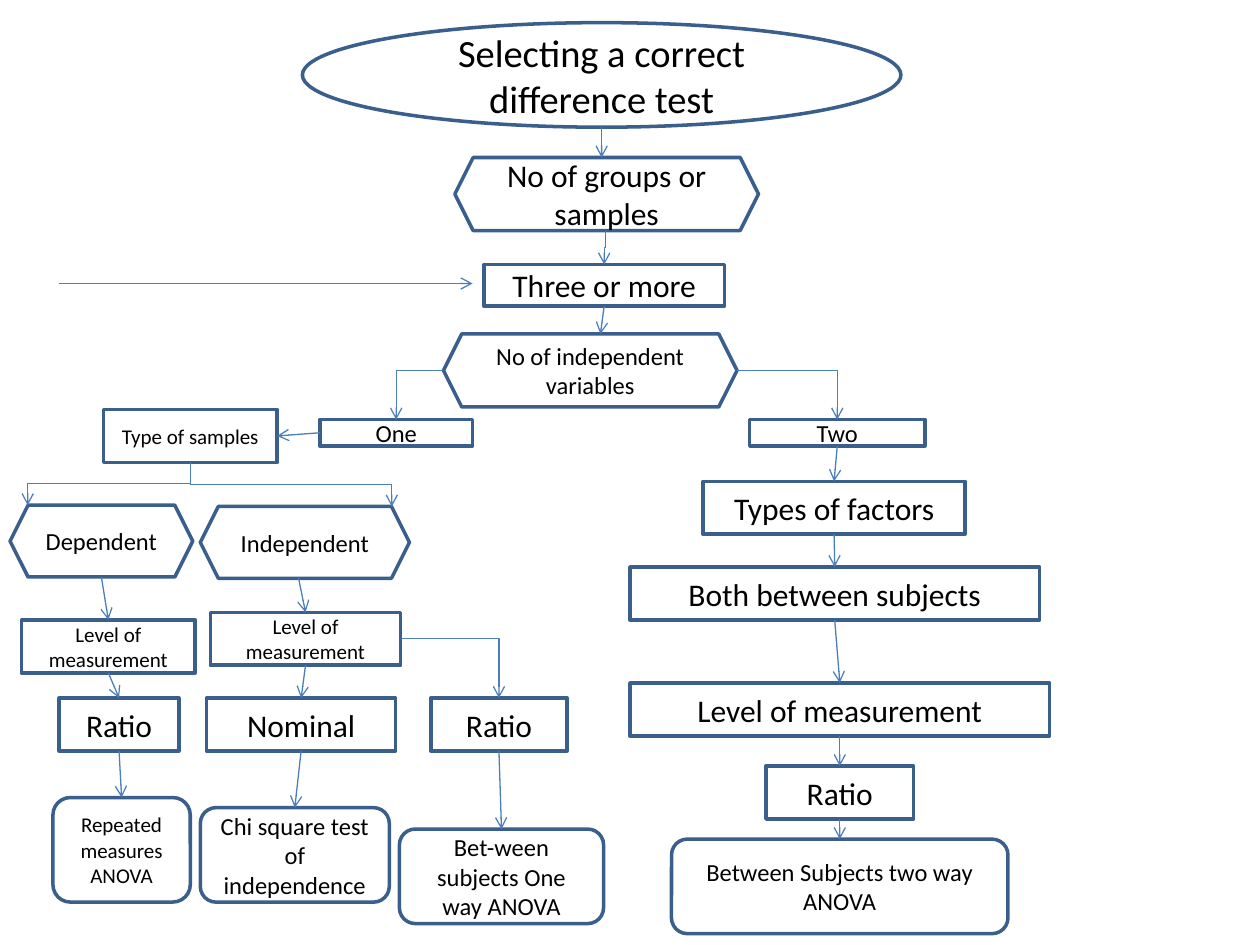
from lxml import etree
from pptx import Presentation
from pptx.dml.color import RGBColor
from pptx.enum.shapes import MSO_CONNECTOR, MSO_SHAPE
from pptx.enum.text import MSO_ANCHOR, PP_ALIGN
from pptx.oxml.ns import qn
from pptx.util import Inches, Pt

RECT = MSO_SHAPE.RECTANGLE
HEXAGON = MSO_SHAPE.HEXAGON
OVAL = MSO_SHAPE.OVAL
ROUNDED = MSO_SHAPE.ROUNDED_RECTANGLE
STRAIGHT = MSO_CONNECTOR.STRAIGHT
ELBOW = MSO_CONNECTOR.ELBOW
MIDDLE = MSO_ANCHOR.MIDDLE
CENTER = PP_ALIGN.CENTER

COLORS = {"outline": "3A5F8C", "arrow": "4B7EBC", "text": "000000"}
FONT = {"name": "Calibri", "bold": False}
ROW = 0.42
CORNER = 0.14


def color(name):
    return RGBColor.from_string(COLORS[name])


def add_node(slide, box, kind, place, text, size):
    x, y, width, height = place
    node = slide.shapes.add_shape(
        kind, Inches(box[0] + x), Inches(box[1] + y), Inches(width), Inches(height)
    )
    node.shadow.inherit = False
    node.fill.background()
    node.line.color.rgb = color("outline")
    node.line.width = Pt(2)
    node.text_frame.word_wrap = True
    node.text_frame.vertical_anchor = MIDDLE
    paragraph = node.text_frame.paragraphs[0]
    paragraph.alignment = CENTER
    run = paragraph.add_run()
    run.text = text
    for key, value in {**FONT, "size": Pt(size)}.items():
        setattr(run.font, key, value)
    run.font.color.rgb = color("text")
    return node


def add_nodes(slide, box, rows):
    return {key: add_node(slide, box, *row) for key, *row in rows}


def anchor(node, side, shift=0):
    across, down = {
        "top": (0.5, 0), "bottom": (0.5, 1), "left": (0, 0.5), "right": (1, 0.5)
    }[side]
    x = node.left + int(node.width * across) + Inches(shift)
    return x, node.top + int(node.height * down)


def add_arrow(slide, start, end, kind=STRAIGHT):
    arrow = slide.shapes.add_connector(kind, *start, *end)
    arrow.line.color.rgb = color("arrow")
    arrow.line.width = Pt(0.75)
    properties = arrow._element.spPr
    etree.SubElement(properties.find(qn("a:ln")), qn("a:tailEnd"), type="arrow")
    etree.SubElement(properties, qn("a:effectLst"))
    return arrow


def add_side_elbow(slide, start, end):
    arrow = add_arrow(slide, start, end, ELBOW)
    arrow._element.spPr.find(qn("a:prstGeom")).set("prst", "bentConnector2")


def add_down_elbow(slide, start, end):
    (x1, y1), (x2, y2) = start, end
    length, spread = y2 - y1, abs(x2 - x1)
    left = (x1 + x2 - length) // 2
    top = (y1 + y2 - spread) // 2
    near, far, degrees = left, left + length, 90
    if x2 > x1:
        near, far, degrees = far, near, 270
    arrow = add_arrow(slide, (near, top), (far, top + spread), ELBOW)
    arrow._element.spPr.find(qn("a:xfrm")).set("rot", str(degrees * 60000))


def link_down(slide, nodes, *keys):
    for upper, lower in zip(keys, keys[1:]):
        add_arrow(slide, anchor(nodes[upper], "bottom"), anchor(nodes[lower], "top"))


def build_question_stem(slide, box):
    nodes = add_nodes(slide, box, [
        ("title", OVAL, (1.93, 0, 4.75, 0.83), "Selecting a correct difference test", 22),
        ("groups", HEXAGON, (3.14, 1.07, 2.41, 0.58), "No of groups or samples", 18),
        ("three", RECT, (3.37, 1.92, 1.91, 0.33), "Three or more", 18),
        ("variables", HEXAGON, (3.05, 2.47, 2.33, 0.58), "No of independent variables", 14),
    ])
    add_arrow(slide, anchor(nodes["title"], "bottom"), anchor(nodes["groups"], "top", -0.04))
    add_down_elbow(slide, anchor(nodes["groups"], "bottom", -0.01), anchor(nodes["three"], "top"))
    add_arrow(slide, anchor(nodes["three"], "bottom"), anchor(nodes["variables"], "top", 0.08))
    y = Inches(box[1] + 2.07)
    add_arrow(slide, (Inches(box[0]), y), (Inches(box[0] + 3.28), y))
    return nodes["variables"]


def build_one_variable_branch(slide, box):
    nodes = add_nodes(slide, box, [
        ("one", RECT, (2.46, 0.08, 1.21, 0.21), "One", 14),
        ("samples", RECT, (0.74, 0, 1.38, ROW), "Type of samples", 12),
        ("dependent", HEXAGON, (0, 0.76, 1.45, 0.57), "Dependent", 14),
        ("independent", HEXAGON, (1.51, 0.77, 1.66, 0.57), "Independent", 14),
        ("dependent level", RECT, (0.09, 1.67, 1.38, ROW), "Level of measurement", 12),
        ("independent level", RECT, (1.59, 1.61, 1.51, ROW), "Level of measurement", 12),
        ("dependent ratio", RECT, (0.39, 2.29, 0.95, ROW), "Ratio", 18),
        ("nominal", RECT, (1.56, 2.29, 1.5, ROW), "Nominal", 18),
        ("independent ratio", RECT, (3.34, 2.29, 1.08, ROW), "Ratio", 18),
        ("repeated", ROUNDED, (0.34, 3.08, 1.09, 0.83), "Repeated measures ANOVA", 12),
        ("chi square", ROUNDED, (1.51, 3.16, 1.5, 0.75), "Chi square test of independence", 14),
        ("one way", ROUNDED, (3.09, 3.33, 1.62, 0.75), "Bet-ween subjects One way ANOVA", 14),
    ])
    add_arrow(slide, anchor(nodes["one"], "left"), anchor(nodes["samples"], "right"))
    fork = anchor(nodes["samples"], "bottom")
    for key, side, shift in (("dependent", "left", CORNER), ("independent", "right", -CORNER)):
        x, _ = anchor(nodes[key], side, shift)
        add_down_elbow(slide, fork, (x, nodes[key].top))
    link_down(slide, nodes, "dependent", "dependent level", "dependent ratio", "repeated")
    level = nodes["independent level"]
    add_arrow(slide, anchor(nodes["independent"], "bottom", -0.05), anchor(level, "top"))
    link_down(slide, nodes, "independent level", "nominal", "chi square")
    add_side_elbow(slide, anchor(level, "right"), anchor(nodes["independent ratio"], "top"))
    link_down(slide, nodes, "independent ratio", "one way")
    return nodes["one"]


def build_two_variable_branch(slide, box):
    nodes = add_nodes(slide, box, [
        ("two", RECT, (0.95, 0, 1.39, 0.21), "Two", 14),
        ("factors", RECT, (0.58, 0.49, 2.08, ROW), "Types of factors", 18),
        ("between", RECT, (0, 1.17, 3.25, ROW), "Both between subjects", 18),
        ("level", RECT, (0, 2.09, 3.33, ROW), "Level of measurement", 18),
        ("ratio", RECT, (1.08, 2.75, 1.17, ROW), "Ratio", 18),
        ("two way", ROUNDED, (0.33, 3.33, 2.67, 0.75), "Between Subjects two way ANOVA", 14),
    ])
    link_down(slide, nodes, *nodes)
    return nodes["two"]


def main():
    deck = Presentation()
    deck.slide_width, deck.slide_height = Inches(10), Inches(7.5)
    slide = deck.slides.add_slide(deck.slide_layouts[6])
    variables = build_question_stem(slide, (0.47, 0.18))
    one = build_one_variable_branch(slide, (0.08, 3.25))
    two = build_two_variable_branch(slide, (5, 3.33))
    add_side_elbow(slide, anchor(variables, "left"), anchor(one, "top"))
    add_side_elbow(slide, anchor(variables, "right"), anchor(two, "top"))
    deck.save("out.pptx")


if __name__ == "__main__":
    main()
